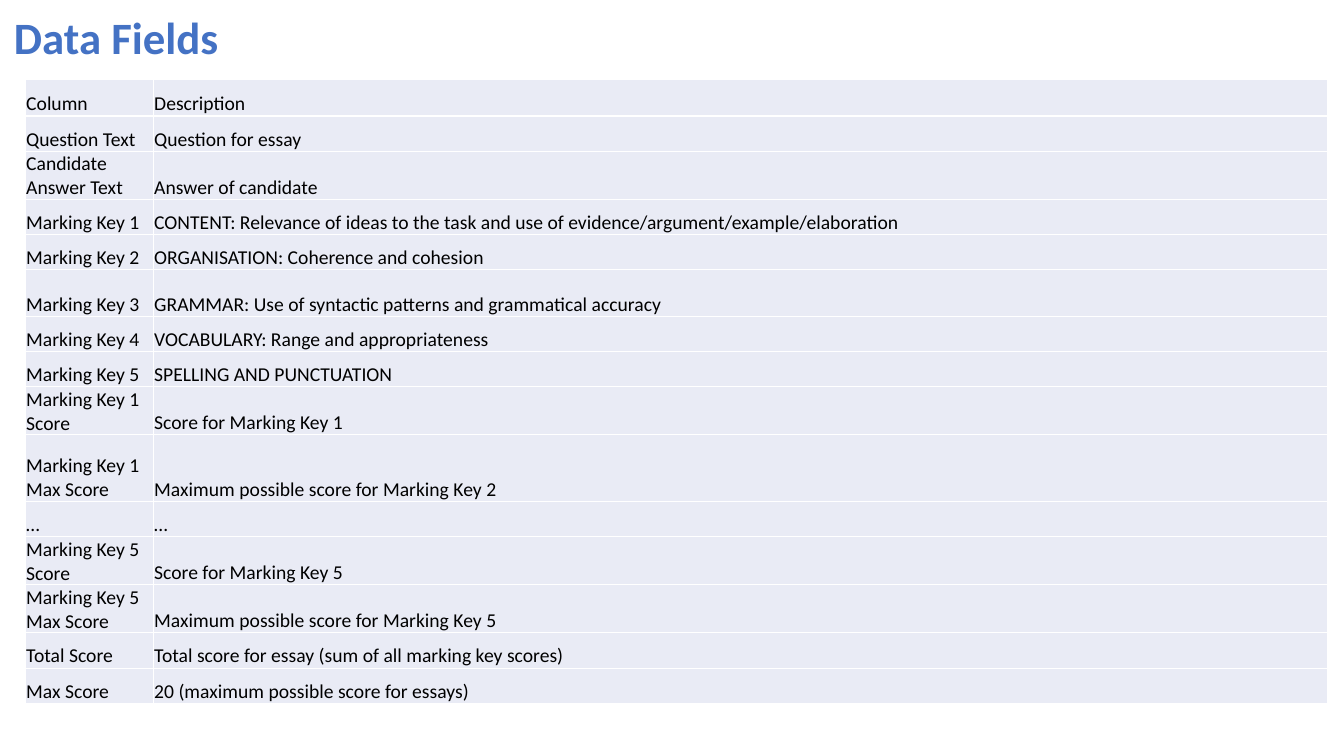
"""Build the Data Fields slide: a title over a table of columns."""
import lxml.etree
import pptx
import pptx.dml.color
import pptx.enum.text
import pptx.oxml.ns
import pptx.util

Inches = pptx.util.Inches
Pt = pptx.util.Pt
COLORS = {"title": "4472C4", "text": "000000", "cell": "E9EBF5", "edge": "FFFFFF"}
TITLE = "Data Fields"
FIELDS = [
    ("Column", "Description"),
    ("Question Text", "Question for essay"),
    ("Candidate Answer Text", "Answer of candidate"),
    ("Marking Key 1", "CONTENT: Relevance of ideas to the task and use of evidence/argument/example/elaboration"),
    ("Marking Key 2", "ORGANISATION: Coherence and cohesion"),
    ("Marking Key 3", "GRAMMAR: Use of syntactic patterns and grammatical accuracy"),
    ("Marking Key 4", "VOCABULARY: Range and appropriateness"),
    ("Marking Key 5", "SPELLING AND PUNCTUATION"),
    ("Marking Key 1 Score", "Score for Marking Key 1"),
    ("Marking Key 1 Max Score", "Maximum possible score for Marking Key 2"),
    ("…", "…"),
    ("Marking Key 5 Score", "Score for Marking Key 5"),
    ("Marking Key 5 Max Score", "Maximum possible score for Marking Key 5"),
    ("Total Score", "Total score for essay (sum of all marking key scores)"),
    ("Max Score", "20 (maximum possible score for essays)"),
]
WIDTHS = (1.27, 11.65)
HEIGHT = 0.35
TALL = {0: 0.36, 5: 0.46, 9: 0.66}
FONTS = {
    "title": {"name": "Calibri", "size": Pt(32), "bold": True},
    "text": {"name": "Calibri", "size": Pt(14), "bold": False},
}
CELL = {
    "vertical_anchor": pptx.enum.text.MSO_ANCHOR.BOTTOM,
    "margin_left": Inches(0.01),
    "margin_right": Inches(0.01),
    "margin_top": Inches(0.01),
    "margin_bottom": 0,
}
FRAME = {"word_wrap": True, "auto_size": pptx.enum.text.MSO_AUTO_SIZE.SHAPE_TO_FIT_TEXT}


def color(name):
    return pptx.dml.color.RGBColor.from_string(COLORS[name])


def apply(target, values):
    for key, value in values.items():
        setattr(target, key, value)


def write(frame, text, style):
    run = frame.paragraphs[0].add_run()
    run.text = text
    apply(run.font, FONTS[style])
    run.font.color.rgb = color(style)


def border(cell):
    qn = pptx.oxml.ns.qn
    props = cell._tc.get_or_add_tcPr()
    for side in ("lnL", "lnR", "lnT", "lnB"):
        line = lxml.etree.SubElement(props, qn("a:" + side), w=str(Pt(1)))
        fill = lxml.etree.SubElement(line, qn("a:solidFill"))
        lxml.etree.SubElement(fill, qn("a:srgbClr"), val=COLORS["edge"])


def add_title(slide):
    box = slide.shapes.add_textbox(Inches(0.04), Inches(0.05), Inches(8.59), Inches(0.64))
    apply(box.text_frame, FRAME)
    write(box.text_frame, TITLE, "title")


def add_fields(slide):
    heights = [TALL.get(index, HEIGHT) for index in range(len(FIELDS))]
    table = slide.shapes.add_table(
        len(FIELDS), len(WIDTHS), Inches(0.25), Inches(0.79),
        Inches(sum(WIDTHS)), Inches(sum(heights))).table
    apply(table, {"first_row": False, "horz_banding": False})
    for column, width in zip(table.columns, WIDTHS):
        column.width = Inches(width)
    for row, height, texts in zip(table.rows, heights, FIELDS):
        row.height = Inches(height)
        for cell, text in zip(row.cells, texts):
            apply(cell, CELL)
            border(cell)
            cell.fill.solid()
            cell.fill.fore_color.rgb = color("cell")
            write(cell.text_frame, text, "text")


def main():
    deck = pptx.Presentation()
    apply(deck, {"slide_width": Inches(13.33), "slide_height": Inches(7.5)})
    slide = deck.slides.add_slide(deck.slide_layouts[6])
    add_title(slide)
    add_fields(slide)
    deck.save("out.pptx")


if __name__ == "__main__":
    main()
